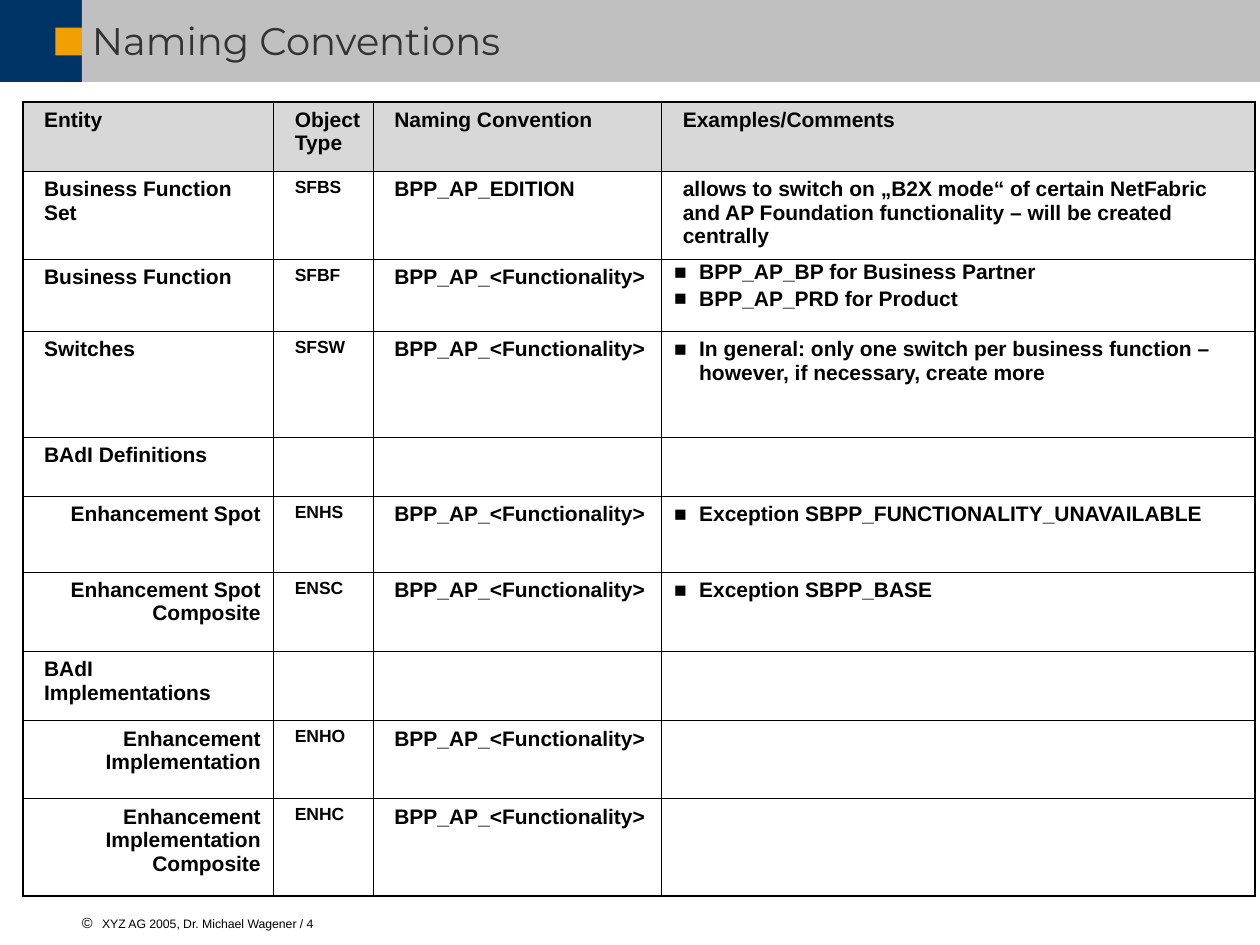
from lxml import etree
from pptx import Presentation
from pptx import util as u
from pptx.dml.color import RGBColor
from pptx.enum import shapes, text
from pptx.oxml import ns

COLORS = {
    "navy": "003366", "band": "C0C0C0", "accent": "F0A000",
    "title": "333333", "text": "000000", "header": "B2B2B2", "line": "000000",
}
INNER, OUTER = 0.45, 1.08  # border widths in points

HEADER = ["Entity", "Object Type", "Naming Convention", "Examples/Comments"]
BY_FUNCTION = "BPP_AP_<Functionality>"
# height, entity, is sub-entry, object type, naming convention, comments
ROWS = [
    (0.7, "Business Function Set", False, "SFBS", "BPP_AP_EDITION",
     "allows to switch on „B2X mode“ of certain NetFabric and AP Foundation "
     "functionality – will be created centrally"),
    (0.57, "Business Function", False, "SFBF", BY_FUNCTION,
     ["BPP_AP_BP for Business Partner", "BPP_AP_PRD for Product"]),
    (0.84, "Switches", False, "SFSW", BY_FUNCTION,
     ["In general: only one switch per business function – "
      "however, if necessary, create more"]),
    (0.47, "BAdI Definitions", False, "", "", ""),
    (0.6, "Enhancement Spot", True, "ENHS", BY_FUNCTION,
     ["Exception SBPP_FUNCTIONALITY_UNAVAILABLE"]),
    (0.63, "Enhancement Spot Composite", True, "ENSC", BY_FUNCTION,
     ["Exception SBPP_BASE"]),
    (0.55, "BAdI Implementations", False, "", "", ""),
    (0.62, "Enhancement Implementation", True, "ENHO", BY_FUNCTION, ""),
    (0.77, "Enhancement Implementation Composite", True, "ENHC", BY_FUNCTION, ""),
]
HEADER_HEIGHT = 0.55
COL_WIDTHS = [1.99, 0.79, 2.29, 4.71]


def rgb(name):
    return RGBColor.from_string(COLORS[name])


def sub(parent, tag, **attrs):
    return etree.SubElement(parent, ns.qn(tag), attrs)


class Deck:
    def __init__(self, s):
        self.s = s
        self.font = {"name": "Arial", "size": u.Pt(12), "bold": True}
        self.body = {"space_before": u.Pt(11.2)}

    def rect(self, x, y, w, h, color):
        sp = self.s.shapes.add_shape(
            shapes.MSO_SHAPE.RECTANGLE, *map(u.Inches, (x, y, w, h)))
        sp.shadow.inherit = False
        sp.fill.solid()
        sp.fill.fore_color.rgb = rgb(color)
        sp.line.fill.background()

    def para(self, p, words, font, fmt, color="text", left=0.07, hang=0, bullet=None, size=100):
        r = p.add_run()
        r.text = words
        for key, value in {**self.font, **font}.items():
            setattr(r.font, key, value)
        r.font.color.rgb = rgb(color)
        for key, value in fmt.items():
            setattr(p, key, value)
        pPr = p._p.get_or_add_pPr()
        pPr.set("marL", str(u.Inches(left)))
        pPr.set("indent", str(-u.Inches(hang)))
        if bullet:
            sub(sub(pPr, "a:buClr"), "a:srgbClr", val=COLORS["text"])
            sub(pPr, "a:buSzPct", val=str(size * 1000))
            sub(pPr, "a:buFont", typeface="Arial")
            sub(pPr, "a:buChar", char=bullet)

    def label(self, x, y, w, h, words, font, **kw):
        tf = self.s.shapes.add_textbox(*map(u.Inches, (x, y, w, h))).text_frame
        frame = {"word_wrap": True, "vertical_anchor": text.MSO_ANCHOR.MIDDLE,
                 "margin_left": 0, "margin_right": 0, "margin_top": 0, "margin_bottom": 0}
        for key, value in frame.items():
            setattr(tf, key, value)
        self.para(tf.paragraphs[0], words, font, {"line_spacing": 0.9}, **kw)

    def table(self, x, y, widths, heights):
        frame = self.s.shapes.add_table(
            len(heights), len(widths), *map(u.Inches, (x, y, sum(widths), sum(heights))))
        tbl = frame.table
        for col, w in zip(tbl.columns, widths):
            col.width = u.Inches(w)
        for row, h in zip(tbl.rows, heights):
            row.height = u.Inches(h)
        last_row, last_col = len(heights) - 1, len(widths) - 1
        for i, row in enumerate(tbl.rows):
            for j, cell in enumerate(row.cells):
                self.borders(cell, {"a:lnL": j == 0, "a:lnR": j == last_col,
                                    "a:lnT": i == 0, "a:lnB": i == last_row})
                self.shade(cell, i == 0)
        return tbl

    def borders(self, cell, sides):
        tcPr = cell._tc.get_or_add_tcPr()
        for tag, outer in sides.items():
            ln = sub(tcPr, tag, w=str(u.Pt(OUTER if outer else INNER)))
            sub(sub(ln, "a:solidFill"), "a:srgbClr", val=COLORS["line"])

    def shade(self, cell, is_header):
        if not is_header:
            cell.fill.background()
            return
        cell.fill.solid()
        cell.fill.fore_color.rgb = rgb("header")
        clr = cell._tc.tcPr.find(ns.qn("a:solidFill")).find(ns.qn("a:srgbClr"))
        sub(clr, "a:alpha", val="50000")

    def cell(self, cell, words, font=None, fmt=None):
        if words:
            self.para(cell.text_frame.paragraphs[0], words, font or {},
                      {**self.body, **(fmt or {})})

    def bullets(self, cell, items):
        tf = cell.text_frame
        fmt = {"space_before": u.Pt(8.2)}
        if len(items) > 1:  # lists are set tighter
            fmt = {"space_before": u.Pt(5.2), "line_spacing": 0.75}
        for n, words in enumerate(items):
            p = tf.add_paragraph() if n else tf.paragraphs[0]
            self.para(p, words, {}, fmt, left=0.2, hang=0.2, bullet="■")


def main():
    prs = Presentation()
    prs.slide_width, prs.slide_height = u.Inches(10), u.Inches(7.5)
    deck = Deck(prs.slides.add_slide(prs.slide_layouts[6]))

    # Title band
    deck.rect(0, 0, 0.65, 0.65, "navy")
    deck.rect(0.65, 0, 9.35, 0.65, "band")
    deck.rect(0.44, 0.22, 0.21, 0.22, "accent")
    deck.label(0.66, 0.13, 9.13, 0.42, "Naming Conventions",
               {"name": "Montserrat", "size": u.Pt(22), "bold": False}, color="title")

    # Footer
    deck.label(0.65, 7.28, 3.91, 0.11, "XYZ AG 2005, Dr. Michael Wagener / 4",
               {"size": u.Pt(7), "bold": False}, left=0.16, hang=0.16, bullet="©", size=120)

    # Table of conventions
    tbl = deck.table(0.18, 0.81, COL_WIDTHS, [HEADER_HEIGHT] + [row[0] for row in ROWS])
    for j, words in enumerate(HEADER):
        deck.cell(tbl.cell(0, j), words)
    for i, (_, entity, is_sub, kind, convention, comments) in enumerate(ROWS, 1):
        align = text.PP_ALIGN.RIGHT if is_sub else text.PP_ALIGN.LEFT
        deck.cell(tbl.cell(i, 0), entity, fmt={"alignment": align})
        deck.cell(tbl.cell(i, 1), kind, {"size": u.Pt(10)}, {"space_before": u.Pt(9.4)})
        deck.cell(tbl.cell(i, 2), convention)
        if isinstance(comments, list):
            deck.bullets(tbl.cell(i, 3), comments)
        else:
            deck.cell(tbl.cell(i, 3), comments)

    prs.save("out.pptx")


if __name__ == "__main__":
    main()
